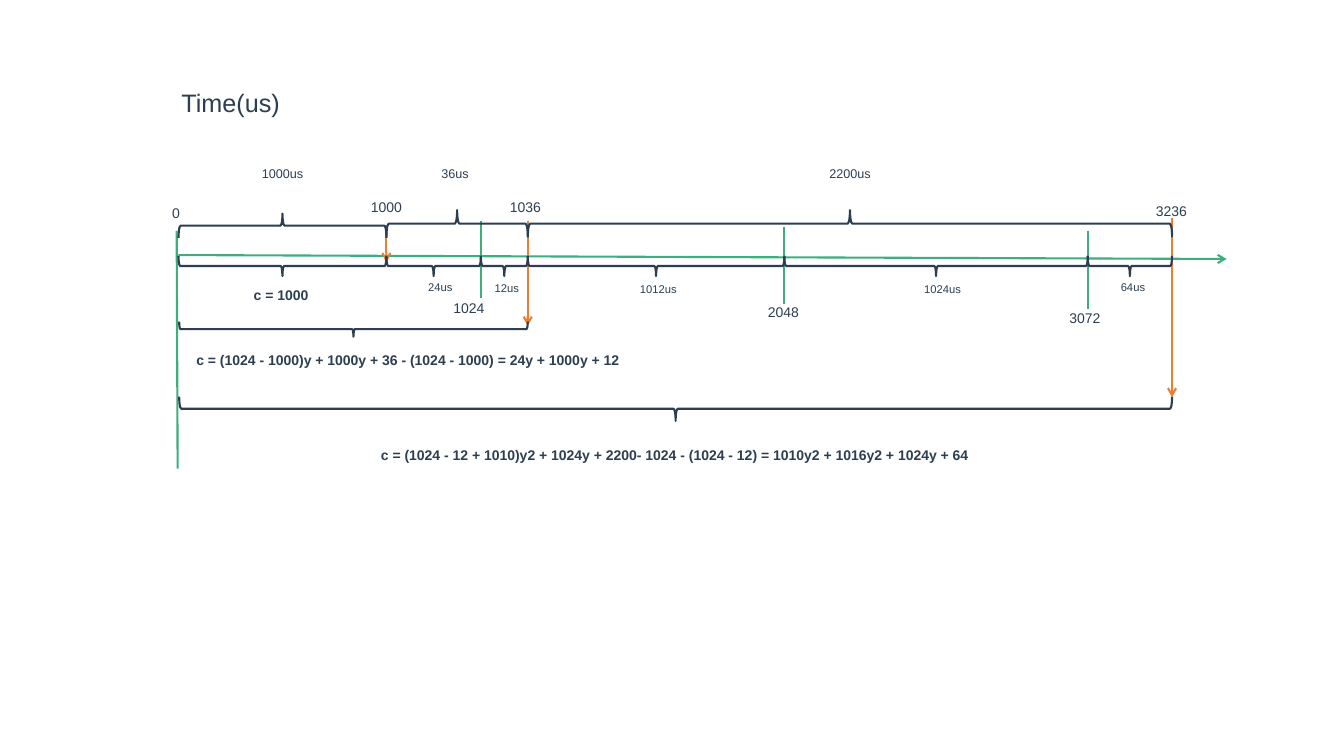
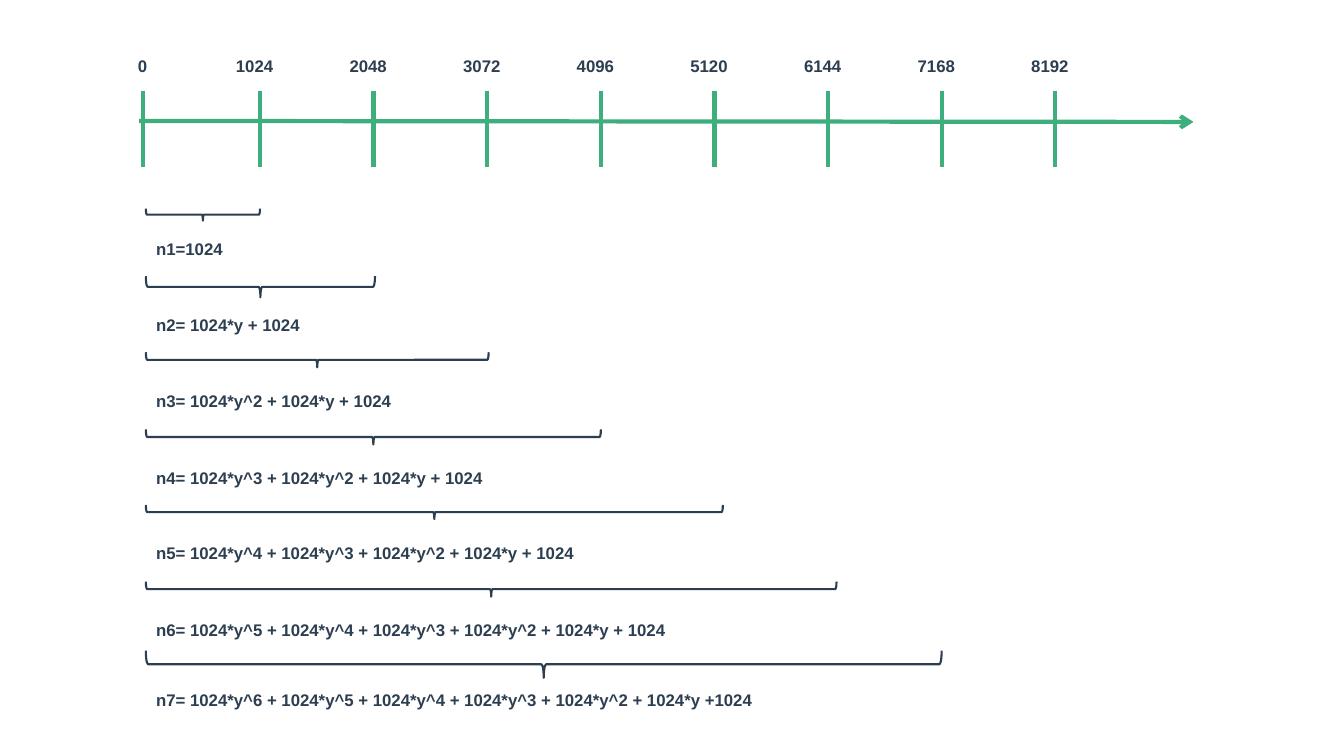
from dataclasses import dataclass
from itertools import pairwise

from pptx import Presentation
from pptx.dml.color import RGBColor
from pptx.enum.shapes import MSO_CONNECTOR, MSO_SHAPE
from pptx.enum.text import MSO_ANCHOR, MSO_AUTO_SIZE, PP_ALIGN
from pptx.oxml.ns import qn
from pptx.util import Pt
from lxml.etree import SubElement


@dataclass(frozen=True)
class Theme:
    font: str = "Arial"
    ink: RGBColor = RGBColor(0x2C, 0x3E, 0x50)
    axis: RGBColor = RGBColor(0x3E, 0xAF, 0x7C)
    event: RGBColor = RGBColor(0xED, 0x7D, 0x31)
    title: int = 18
    formula: int = 12
    label: int = 10
    period: int = 9
    slice: int = 8
    thin: float = 1.5
    thick: float = 3


THEME = Theme()
TITLE_ONLY, BLANK = 5, 6

# Horizontal place of each moment on the time axis
MOMENTS = {0: 127.5, 1000: 276, 1024: 343.5, 1036: 377, 2048: 560.3, 3072: 777, 3236: 837.2}


# Kinds of element
def write_text(frame, words, *, size, bold=False, color=THEME.ink):
    frame.word_wrap = True
    frame.auto_size = MSO_AUTO_SIZE.NONE
    frame.vertical_anchor = MSO_ANCHOR.TOP
    paragraph = frame.paragraphs[0]
    paragraph.alignment = PP_ALIGN.LEFT
    run = paragraph.add_run()
    run.text = words
    run.font.name = THEME.font
    run.font.size = Pt(size)
    run.font.bold = bold
    run.font.color.rgb = color


def add_label(slide, words, left, top, size=THEME.label, bold=False):
    width = len(words) * size * 0.65 + 14.4
    height = size * 1.2 + 7.2
    box = slide.shapes.add_textbox(Pt(left), Pt(top), Pt(width), Pt(height))
    write_text(box.text_frame, words, size=size, bold=bold)


def add_title(slide, words, left, top, width, height):
    title = slide.shapes.title
    title.left, title.top = Pt(left), Pt(top)
    title.width, title.height = Pt(width), Pt(height)
    write_text(title.text_frame, words, size=THEME.title)


def add_line(slide, start, end, color=THEME.axis, weight=THEME.thin, arrow=False):
    line = slide.shapes.add_connector(
        MSO_CONNECTOR.STRAIGHT, *(Pt(value) for value in (*start, *end)))
    line.line.color.rgb = color
    line.line.width = Pt(weight)
    if arrow:
        SubElement(line.line._get_or_add_ln(), qn("a:tailEnd"), type="arrow")
    SubElement(line._element.spPr, qn("a:effectLst"))


def add_brace(slide, left, right, top, depth, upward=False):
    """Lay a brace flat so that it spans left to right, pointing down or up."""
    span = right - left
    brace = slide.shapes.add_shape(
        MSO_SHAPE.LEFT_BRACE,
        Pt((left + right - depth) / 2), Pt(top + (depth - span) / 2),
        Pt(depth), Pt(span))
    brace.rotation = 90 if upward else 270
    brace.shadow.inherit = False
    brace.fill.background()
    brace.line.color.rgb = THEME.ink
    brace.line.width = Pt(THEME.thin)


# Slides
def build_time_slide(deck):
    slide = deck.slides.add_slide(deck.slide_layouts[TITLE_ONLY])
    add_title(slide, "Time(us)", 122.4, 59, 153.4, 28.8)

    # Axis, origin and period boundaries
    add_line(slide, (127.5, 182.2), (876.2, 185), arrow=True)
    add_line(slide, (126.2, 165), (126.9, 334.8))
    for moment, top in ((1024, 157.7), (2048, 162), (3072, 165)):
        add_line(slide, (MOMENTS[moment], top), (MOMENTS[moment], top + 55.4))

    # Events
    for moment, top, bottom in ((1000, 160.6, 187.2), (1036, 157.7, 232.6), (3236, 155.5, 283.7)):
        add_line(slide, (MOMENTS[moment], top), (MOMENTS[moment], bottom),
                 color=THEME.event, arrow=True)

    # Names of the moments
    for moment, left, top in (
            (0, 115.9, 142.6), (1000, 257.8, 138.2), (1024, 316.8, 210.2),
            (1036, 357.1, 138.2), (2048, 541.4, 213.1), (3072, 756.7, 217.4),
            (3236, 818.6, 141.1)):
        add_label(slide, str(moment), left, top)

    # Running periods above the axis
    for start, end, words, left, top, depth in (
            (0, 1000, "1000us", 180, 152.6, 17.3),
            (1000, 1036, "36us", 308.2, 150.1, 19.4),
            (1036, 3236, "2200us", 585.4, 150.1, 19.4)):
        add_brace(slide, MOMENTS[start], MOMENTS[end], top, depth, upward=True)
        add_label(slide, words, left, 115.2, size=THEME.period)

    # Slices below the axis
    for start, end in pairwise(MOMENTS):
        add_brace(slide, MOMENTS[start], MOMENTS[end], 182.8, 14.4)
    for words, left, top in (
            ("24us", 298.8, 196.6), ("12us", 346.3, 197.3), ("1012us", 450, 198),
            ("1024us", 653, 198), ("64us", 793.5, 196.6)):
        add_label(slide, words, left, top, size=THEME.slice)

    # Contributions up to each event
    for end, top, depth in ((1036, 229.7, 10.8), (3236, 283.3, 17.3)):
        add_brace(slide, MOMENTS[0] + 0.5, MOMENTS[end], top, depth)
    for words, left, top in (
            ("c = 1000", 174.2, 200.9),
            ("c = (1024 - 1000)y + 1000y + 36 - (1024 - 1000) = 24y + 1000y + 12", 133.2, 247.7),
            ("c = (1024 - 12 + 1010)y2 + 1024y + 2200- 1024 - (1024 - 12)"
             " = 1010y2 + 1016y2 + 1024y + 64", 265, 315.4)):
        add_label(slide, words, left, top, bold=True)


def build_series_slide(deck):
    slide = deck.slides.add_slide(deck.slide_layouts[BLANK])

    # Axis with a tick every 1024
    ticks = [102.2] + [185.7 + 81.16 * step for step in range(8)]
    add_line(slide, (99.4, 86.4), (852.5, 87.1), weight=THEME.thick, arrow=True)
    for step, tick in enumerate(ticks):
        words = str(step * 1024)
        add_line(slide, (tick, 64.8), (tick, 119.5), weight=THEME.thick)
        add_label(slide, words, tick - 6.3 - 4.5 * len(words), 36,
                  size=THEME.formula, bold=True)

    # Sums: formula, its top, brace top, brace depth, brace reach past its tick
    sums = (
        ("n1=1024", 167, 149, 8.6, 0),
        ("n2= 1024*y + 1024", 221, 197.3, 15.1, 1),
        ("n3= 1024*y^2 + 1024*y + 1024", 275.8, 251.6, 10.8, 1),
        ("n4= 1024*y^3 + 1024*y^2 + 1024*y + 1024", 330.5, 306.7, 10.8, 0),
        ("n5= 1024*y^4 + 1024*y^3 + 1024*y^2 + 1024*y + 1024", 384.5, 360.7, 10.1, 6),
        ("n6= 1024*y^5 + 1024*y^4 + 1024*y^3 + 1024*y^2 + 1024*y + 1024",
         439.2, 415.4, 10.8, 6),
        ("n7= 1024*y^6 + 1024*y^5 + 1024*y^4 + 1024*y^3 + 1024*y^2 + 1024*y +1024",
         488.9, 464.8, 19.4, 0),
    )
    for tick, (formula, formula_top, brace_top, depth, reach) in zip(ticks[1:], sums):
        add_brace(slide, 104.2, tick + reach, brace_top, depth)
        add_label(slide, formula, 104.4, formula_top, size=THEME.formula, bold=True)


def main():
    deck = Presentation()
    deck.slide_width, deck.slide_height = Pt(960), Pt(540)
    build_time_slide(deck)
    build_series_slide(deck)
    deck.save("out.pptx")


if __name__ == "__main__":
    main()
